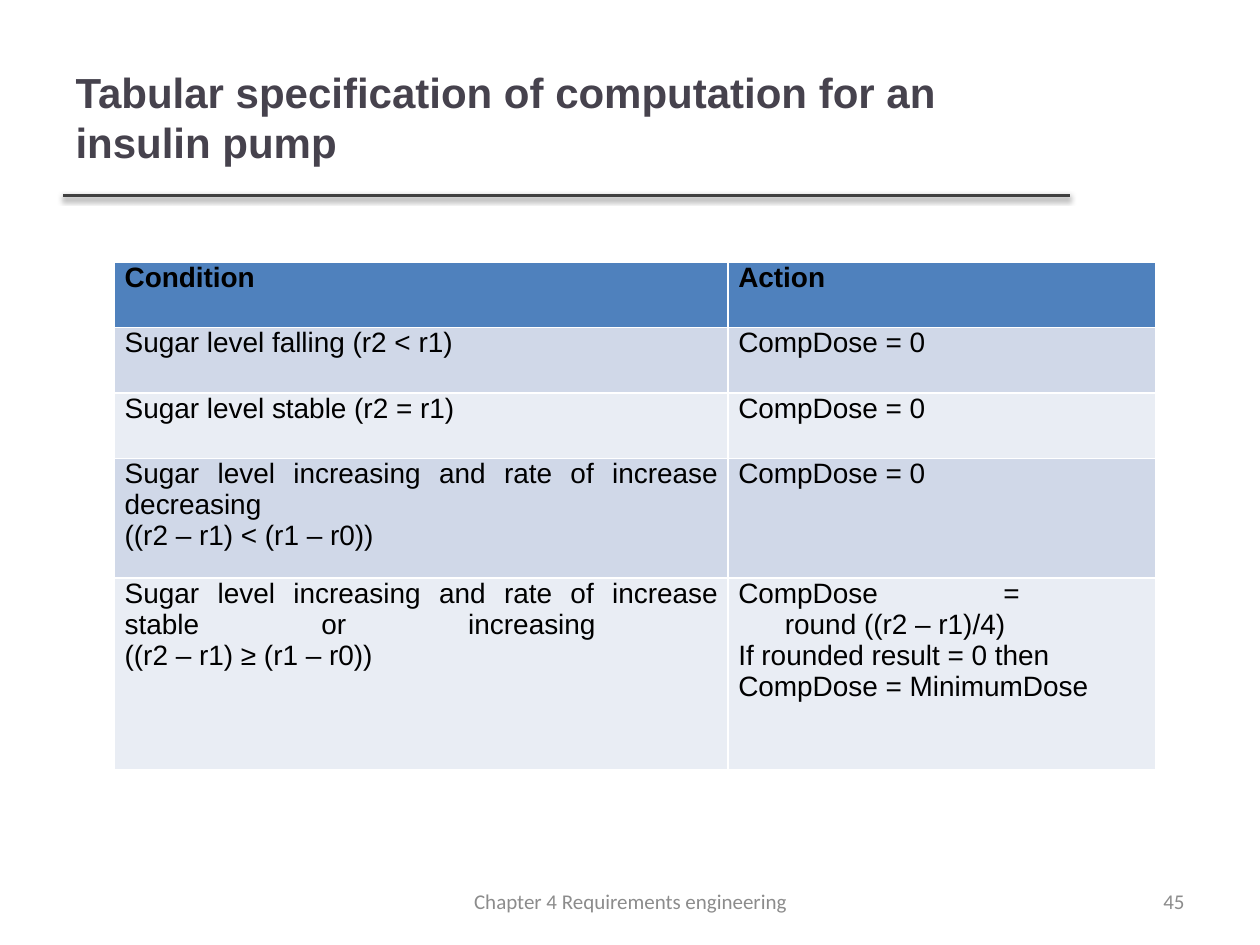
from lxml import etree
from pptx import Presentation
from pptx.dml.color import RGBColor
from pptx.enum.shapes import MSO_CONNECTOR
from pptx.enum.text import MSO_ANCHOR, PP_ALIGN
from pptx.oxml import parse_xml
from pptx.oxml.ns import nsdecls, qn
from pptx.util import Inches, Pt

# Content: each cell is a list of paragraphs
TITLE = "Tabular specification of computation for an insulin pump"
HEADER = (["Condition"], ["Action"])
RULES = [
    (["Sugar level falling (r2 < r1)"], ["CompDose = 0"]),
    (["Sugar level stable (r2 = r1)"], ["CompDose = 0"]),
    (["Sugar level increasing and rate of increase decreasing \n((r2 – r1) < (r1 – r0))"],
     ["CompDose = 0"]),
    (["Sugar level increasing and rate of increase stable or increasing \n((r2 – r1) ≥ (r1 – r0))"],
     ["CompDose = \n\tround ((r2 – r1)/4)",
      "If rounded result = 0 then",
      "CompDose = MinimumDose"]),
]
# text, left, width, alignment
FOOTERS = [
    ("45", 7.17, 2.33, PP_ALIGN.RIGHT),
    ("Chapter 4 Requirements engineering", 3.42, 3.17, PP_ALIGN.CENTER),
]
COLORS = {"title": "46424D", "rule": "404040", "text": "000000", "footer": "8C8C8C",
          "header": "4F81BD", "odd": "D0D8E8", "even": "E9EDF4"}
COLUMN_WIDTHS = (4.87, 3.39)
ROW_HEIGHTS = (0.52, 0.52, 0.52, 0.95, 1.52)


def color(key):
    return RGBColor.from_string(COLORS[key])


def style(paragraph, font_name, size, key, align, bold=False):
    paragraph.alignment = align
    font = paragraph.font
    font.name, font.size, font.bold = font_name, Pt(size), bold
    font.color.rgb = color(key)


def add_tab_stop(paragraph, position):
    props = paragraph._p.get_or_add_pPr()
    tabs = parse_xml(f'<a:tabLst {nsdecls("a")}><a:tab pos="{Inches(position)}" algn="l"/></a:tabLst>')
    props.insert_element_before(tabs, "a:defRPr", "a:extLst")


def fill_cell(cell, lines, fill, bold):
    cell.fill.solid()
    cell.fill.fore_color.rgb = color(fill)
    cell.margin_left = cell.margin_right = Inches(0.08)
    cell.margin_top, cell.margin_bottom = 0, Inches(0.1)
    frame = cell.text_frame
    for i, line in enumerate(lines):
        paragraph = frame.paragraphs[0] if i == 0 else frame.add_paragraph()
        paragraph.text = line
        style(paragraph, "Arial", 16, "text", PP_ALIGN.JUSTIFY, bold)
        if "\t" in line:
            add_tab_stop(paragraph, 0.37)


prs = Presentation()
prs.slide_width, prs.slide_height = Inches(10), Inches(7.5)
slide = prs.slides.add_slide(prs.slide_layouts[5])
shapes = slide.shapes

# Title
title = shapes.title
title.left, title.top, title.width, title.height = map(Inches, (0.5, 0.3, 7.98, 1.25))
title.text_frame.text = TITLE
title.text_frame.vertical_anchor = MSO_ANCHOR.MIDDLE
style(title.text_frame.paragraphs[0], "Arial", 24, "title", PP_ALIGN.LEFT, True)

# Title rule with a soft shadow below
rule = shapes.add_connector(MSO_CONNECTOR.STRAIGHT, Inches(0.5), Inches(1.55), Inches(8.49), Inches(1.55))
rule.line.color.rgb = color("rule")
rule.line.width = Pt(2)
effects = etree.SubElement(rule._element.spPr, qn("a:effectLst"))
effects.append(parse_xml(
    f'<a:outerShdw {nsdecls("a")} blurRad="{Pt(3.1)}" dist="{Pt(1.6)}" dir="5400000" rotWithShape="0">'
    '<a:srgbClr val="000000"><a:alpha val="38000"/></a:srgbClr></a:outerShdw>'))

# Condition and action table
rows = [HEADER] + RULES
table = shapes.add_table(len(rows), len(HEADER), Inches(0.91), Inches(2.08),
                         Inches(sum(COLUMN_WIDTHS)), Inches(sum(ROW_HEIGHTS))).table
for column, width in zip(table.columns, COLUMN_WIDTHS):
    column.width = Inches(width)
for r, (row, height) in enumerate(zip(rows, ROW_HEIGHTS)):
    table.rows[r].height = Inches(height)
    fill = "header" if r == 0 else "odd" if r % 2 else "even"
    for c, lines in enumerate(row):
        fill_cell(table.cell(r, c), lines, fill, r == 0)

# Slide number and footer
for text, left, width, align in FOOTERS:
    footer = shapes.add_textbox(Inches(left), Inches(6.95), Inches(width), Inches(0.4)).text_frame
    footer.word_wrap = True
    footer.vertical_anchor = MSO_ANCHOR.MIDDLE
    footer.text = text
    style(footer.paragraphs[0], "Calibri", 12, "footer", align)

prs.save("out.pptx")
